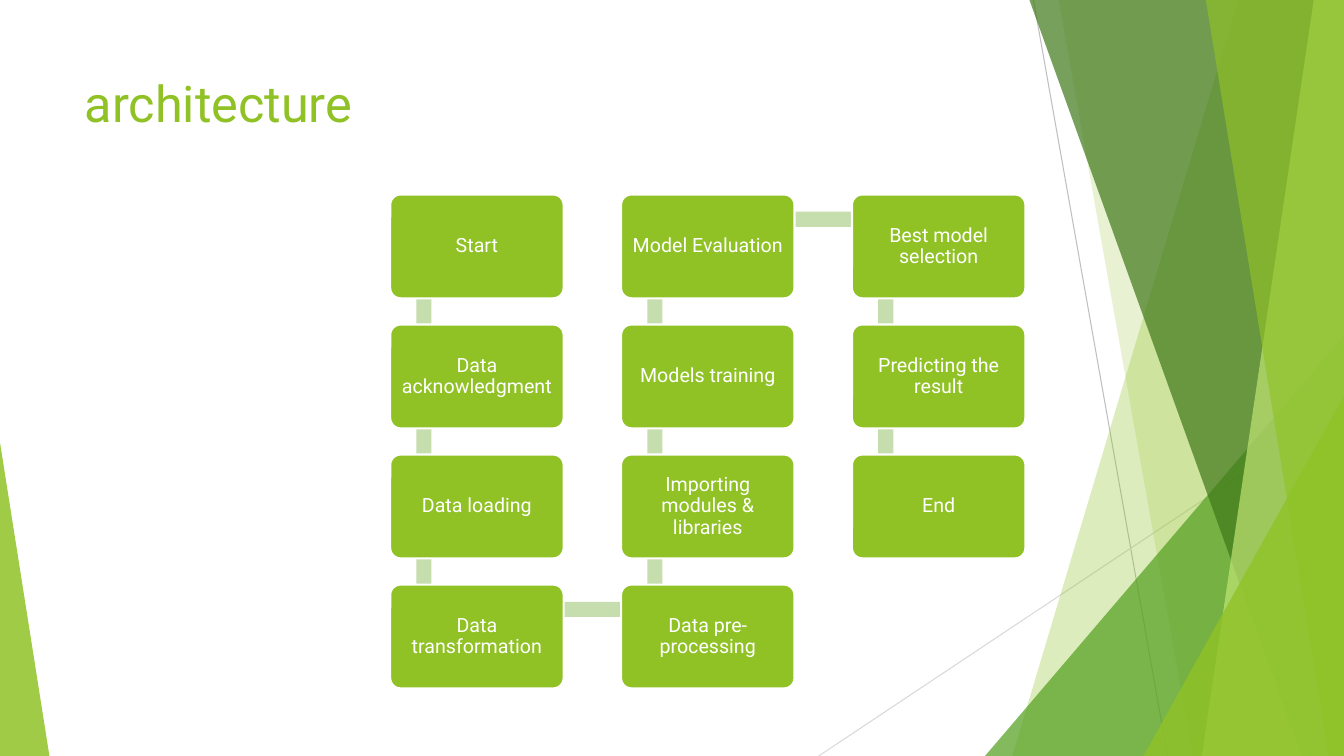
from dataclasses import dataclass
from lxml.etree import SubElement
from pptx import Presentation
from pptx.dml.color import RGBColor as RGB
from pptx.enum.shapes import MSO_CONNECTOR as Link, MSO_SHAPE as Kind
from pptx.enum.text import MSO_ANCHOR as Anchor, PP_ALIGN as Align
from pptx.oxml.ns import qn
from pptx.util import Inches, Pt


@dataclass(frozen=True)
class Theme:
    font: str = "Roboto"
    lime: str = "90C226"
    leaf: str = "54A021"
    moss: str = "3F7819"
    pale: str = "C0E474"
    bar: str = "C6DDAD"
    white: str = "FFFFFF"
    grey: str = "BFBFBF"
    mist: str = "D9D9D9"
    title: int = 36
    label: int = 14


THEME = Theme()
WIDE, HIGH = 13.33, 7.5
BOX_W, BOX_H = 1.72, 1.03
LEFT, TOP = 3.87, 1.93
STEP_X, STEP_Y = 2.29, 1.29
BAR = 0.15
ROWS = 4

COLUMNS = [
    ["Start", "Data acknowledgment", "Data loading", "Data transformation"],
    ["Model Evaluation", "Models training", "Importing modules & libraries",
     "Data pre-processing"],
    ["Best model selection", "Predicting the result", "End"],
]
TURNS = [(0, ROWS - 1), (1, 0)]


def paint(shape, color, alpha=100):
    shape.shadow.inherit = False
    shape.fill.solid()
    shape.fill.fore_color.rgb = RGB.from_string(color)
    shape.line.fill.background()
    if alpha < 100:
        tint = shape.fill._xPr.find(qn("a:solidFill"))[0]
        SubElement(tint, qn("a:alpha"), val=str(alpha * 1000))


def add_shape(slide, kind, left, top, width, height, color, alpha=100):
    shape = slide.shapes.add_shape(
        kind, Inches(left), Inches(top), Inches(width), Inches(height))
    paint(shape, color, alpha)
    return shape


def add_line(slide, start, end, color):
    line = slide.shapes.add_connector(
        Link.STRAIGHT, *[Inches(n) for n in (*start, *end)])
    line.line.color.rgb = RGB.from_string(color)
    line.line.width = Pt(0.75)
    SubElement(line._element.spPr, qn("a:effectLst"))


def add_blade(slide, top, foot, color, alpha):
    ends = [(WIDE, 0), (WIDE, HIGH), (foot, HIGH)]
    pen = slide.shapes.build_freeform(Inches(top), 0)
    pen.add_line_segments([(Inches(x), Inches(y)) for x, y in ends])
    paint(pen.convert_to_shape(), color, alpha)


def add_wedge(slide, left, top, width, apex, color, alpha):
    wedge = add_shape(slide, Kind.ISOSCELES_TRIANGLE, left, top, width,
                      HIGH - top, color, alpha)
    wedge.adjustments[0] = apex


def set_font(para, size, color):
    para.font.name = THEME.font
    para.font.size = Pt(size)
    para.font.color.rgb = RGB.from_string(color)


def add_decor(slide):
    add_line(slide, (10.25, 0), (11.58, HIGH), THEME.grey)
    add_line(slide, (WIDE, 4.03), (8.12, HIGH), THEME.mist)
    add_blade(slide, 12.28, 10.04, THEME.lime, 30)
    add_blade(slide, 10.5, 11.83, THEME.lime, 20)
    add_wedge(slide, 9.77, 3.33, 3.56, 1, THEME.leaf, 72)
    add_blade(slide, 10.21, 12.91, THEME.moss, 70)
    add_blade(slide, 13.03, 11.92, THEME.pale, 70)
    add_blade(slide, 11.96, 13.18, THEME.lime, 65)
    add_wedge(slide, 11.34, 3.93, 1.99, 1, THEME.lime, 80)
    add_wedge(slide, 0, 4.39, 0.49, 0, THEME.lime, 85)


def set_title(slide, text):
    title = slide.shapes.title
    title.left, title.top = Inches(0.74), Inches(0.67)
    title.width, title.height = Inches(9.4), Inches(1.44)
    frame = title.text_frame
    frame.text = text
    frame.vertical_anchor = Anchor.TOP
    para = frame.paragraphs[0]
    para.alignment = Align.LEFT
    set_font(para, THEME.title, THEME.lime)


def place(col, row):
    return LEFT + col * STEP_X, TOP + row * STEP_Y


def add_box(slide, col, row, text):
    box = add_shape(slide, Kind.ROUNDED_RECTANGLE, *place(col, row),
                    BOX_W, BOX_H, THEME.lime)
    box.adjustments[0] = 0.1
    box.line.color.rgb = RGB.from_string(THEME.white)
    box.line.width = Pt(1.5)
    frame = box.text_frame
    frame.word_wrap = True
    frame.vertical_anchor = Anchor.MIDDLE
    frame.margin_left = frame.margin_right = Inches(0.06)
    frame.margin_top = frame.margin_bottom = Inches(0.06)
    frame.text = text
    para = frame.paragraphs[0]
    para.alignment = Align.CENTER
    para.line_spacing = 0.9
    set_font(para, THEME.label, THEME.white)


def add_drop(slide, col, row):
    x, y = place(col, row)
    add_shape(slide, Kind.RECTANGLE, x + 0.26, y + 0.26, BAR, STEP_Y, THEME.bar)


def add_turn(slide, col, row):
    x, y = place(col, row)
    add_shape(slide, Kind.RECTANGLE, x + 0.35, y + 0.17, STEP_X, BAR, THEME.bar)


def add_flow(slide):
    for col, names in enumerate(COLUMNS):
        for row in range(len(names) - 1):
            add_drop(slide, col, row)
    for col, row in TURNS:
        add_turn(slide, col, row)
    for col, names in enumerate(COLUMNS):
        for row, name in enumerate(names):
            add_box(slide, col, row, name)


def main():
    deck = Presentation()
    deck.slide_width, deck.slide_height = Inches(WIDE), Inches(HIGH)
    slide = deck.slides.add_slide(deck.slide_layouts[5])
    add_decor(slide)
    set_title(slide, "architecture")
    add_flow(slide)
    deck.save("out.pptx")


main()
